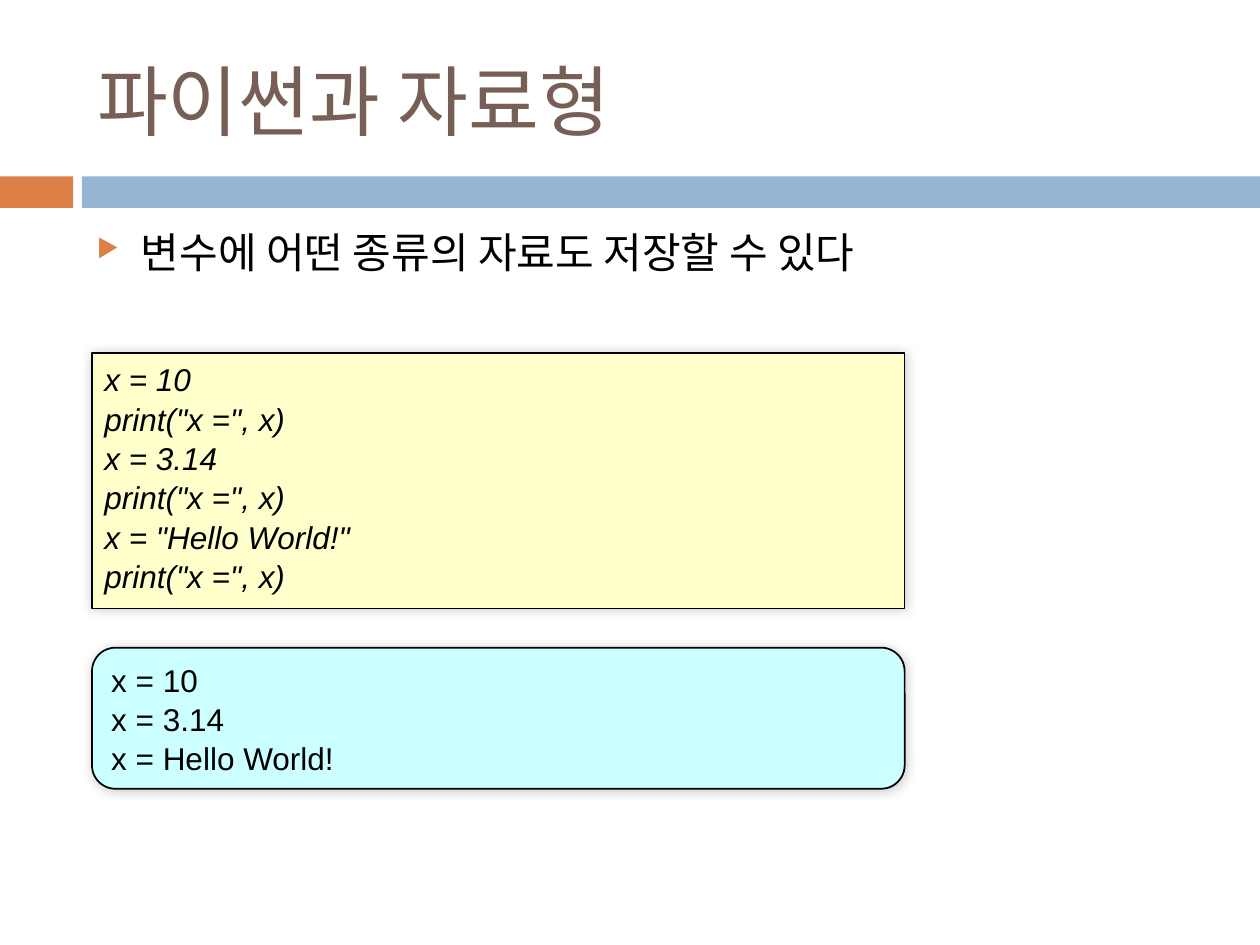
from lxml.etree import SubElement
from pptx import Presentation
from pptx.dml.color import RGBColor
from pptx.enum.shapes import MSO_SHAPE as Shape
from pptx.enum.text import MSO_ANCHOR as Anchor, PP_ALIGN as Align
from pptx.oxml.ns import qn
from pptx.util import Inches, Pt

ORANGE = RGBColor(0xDD, 0x80, 0x47)
BLUE = RGBColor(0x94, 0xB6, 0xD2)
BROWN = RGBColor(0x77, 0x5F, 0x55)
YELLOW = RGBColor(0xFF, 0xFF, 0xCC)
CYAN = RGBColor(0xCC, 0xFF, 0xFF)
BLACK = RGBColor(0, 0, 0)
KOREAN, LATIN, HEADING = "Noto Sans CJK KR", "Arial", "Cabin"
COLUMNS, ROWS = 100, 75

PROGRAM = """x = 10
print("x =", x)
x = 3.14
print("x =", x)
x = "Hello World!"
print("x =", x)"""
OUTPUT = """x = 10
x = 3.14
x = Hello World!"""


class SlideBuilder:
    def __init__(self, deck):
        self.column = deck.slide_width / COLUMNS
        self.row = deck.slide_height / ROWS
        self.slide = deck.slides.add_slide(deck.slide_layouts[5])

    def area(self, left, top, width, height):
        return (round(left * self.column), round(top * self.row),
                round(width * self.column), round(height * self.row))

    def style(self, frame, size, font, color, italic=False):
        for para in frame.paragraphs:
            para.alignment = Align.LEFT
            for span in para.runs:
                span.font.size = Pt(size)
                span.font.name = font
                span.font.color.rgb = color
                span.font.italic = italic
                SubElement(span.font._element, qn("a:ea"), typeface=KOREAN)

    def title(self, text, *place):
        title = self.slide.shapes.title
        title.left, title.top, title.width, title.height = self.area(*place)
        frame = title.text_frame
        frame.text = text
        frame.vertical_anchor = Anchor.MIDDLE
        self.style(frame, 44, HEADING, BROWN)

    def shape(self, kind, fill, *place):
        shape = self.slide.shapes.add_shape(kind, *self.area(*place))
        shape.shadow.inherit = False
        shape.fill.solid()
        shape.fill.fore_color.rgb = fill
        shape.line.fill.background()
        return shape

    def bullet(self, text, *place):
        box = self.slide.shapes.add_textbox(*self.area(*place))
        frame = box.text_frame
        frame.word_wrap = True
        frame.text = text
        self.style(frame, 24, KOREAN, BLACK)
        para = frame.paragraphs[0]
        para.space_before = Pt(7)
        props = para._p.get_or_add_pPr()
        props.set("marL", str(Inches(0.35)))
        props.set("indent", str(-Inches(0.35)))
        color = SubElement(props, qn("a:buClr"))
        SubElement(color, qn("a:srgbClr"), val=str(ORANGE))
        SubElement(props, qn("a:buSzPct"), val="60000")
        SubElement(props, qn("a:buChar"), char="▶")

    def panel(self, kind, fill, text, anchor, italic, *place):
        panel = self.shape(kind, fill, *place)
        panel.line.color.rgb = BLACK
        panel.line.width = Pt(1)
        effects = panel._element.spPr.find(qn("a:effectLst"))
        shadow = SubElement(effects, qn("a:outerShdw"), blurRad=str(Pt(6)),
                            dist="0", dir="18900000", rotWithShape="0")
        color = SubElement(shadow, qn("a:srgbClr"), val=str(BLACK))
        SubElement(color, qn("a:alpha"), val="20000")
        frame = panel.text_frame
        frame.word_wrap = True
        frame.vertical_anchor = anchor
        frame.text = text
        self.style(frame, 18, LATIN, BLACK, italic)
        for para in frame.paragraphs:
            para.line_spacing = 1.04


def main():
    deck = Presentation()
    deck.slide_width, deck.slide_height = Inches(10), Inches(7.5)
    page = SlideBuilder(deck)
    page.shape(Shape.RECTANGLE, ORANGE, 0, 14, 5.8, 2.5)
    page.shape(Shape.RECTANGLE, BLUE, 6.5, 14, 93.5, 2.5)
    page.title("파이썬과 자료형", 6.7, 2.5, 89.2, 10.8)
    page.bullet("변수에 어떤 종류의 자료도 저장할 수 있다", 6.7, 17.5, 89.2, 49.2)
    page.panel(Shape.RECTANGLE, YELLOW, PROGRAM, Anchor.TOP, True,
               7.3, 28, 64.5, 20.3)
    page.panel(Shape.FLOWCHART_ALTERNATE_PROCESS, CYAN, OUTPUT, Anchor.MIDDLE,
               False, 7.3, 51.4, 64.5, 11.2)
    deck.save("out.pptx")


if __name__ == "__main__":
    main()
